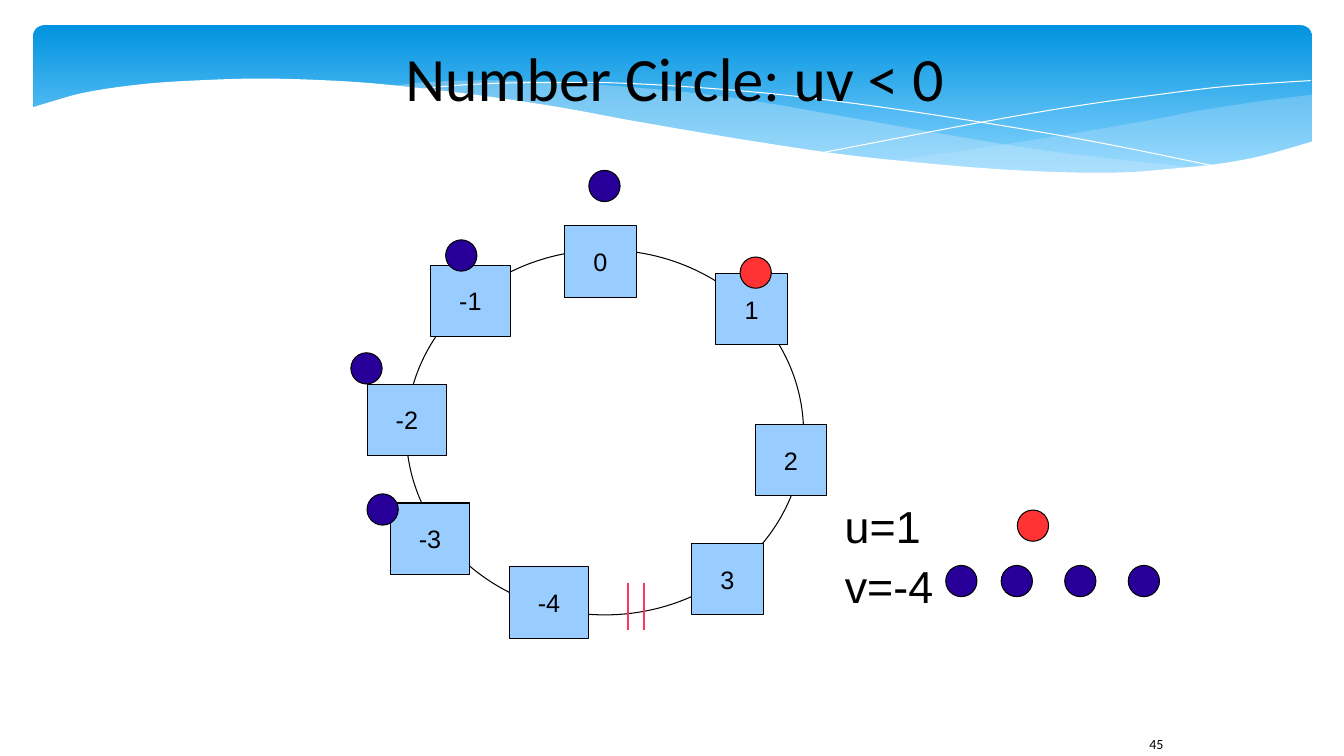
from dataclasses import dataclass
from typing import Optional

from lxml.etree import SubElement
from pptx import Presentation
from pptx.dml.color import RGBColor
from pptx.enum.shapes import MSO_CONNECTOR, MSO_SHAPE
from pptx.enum.text import MSO_ANCHOR, PP_ALIGN
from pptx.oxml.ns import qn
from pptx.util import Emu, Pt

EMU_PER_PX = 9144  # 100 px to the inch
BEAD_SIZE = 31
BOX_HEIGHT = 71
SMOOTH_STEPS = 6
HAIRLINE = 0


@dataclass(frozen=True)
class Theme:
    ink: str = "000000"
    white: str = "FFFFFF"
    header_top: str = "0293E0"
    header_bottom: str = "83D3FE"
    wave: str = "C6E7FC"
    box: str = "99CCFF"
    cut: str = "FF3366"
    u_bead: str = "FF3333"
    v_bead: str = "280099"
    title_font: str = "Calibri"
    body_font: str = "Arial"
    title_size: float = 44
    legend_size: float = 32
    box_size: float = 18
    page_size: float = 10
    cut_width: float = 1.42


THEME = Theme()
Point = tuple[float, float]


@dataclass(frozen=True)
class Wave:
    """A smooth curve, closed through the corners when it has a fill."""
    curves: tuple[tuple[Point, ...], ...]
    corners: tuple[Point, ...] = ()
    fill: Optional[str] = None
    opacity: int = 100


@dataclass(frozen=True)
class NumberBox:
    text: str
    left: int
    top: int
    width: int


@dataclass(frozen=True)
class Bead:
    left: int
    top: int
    color: str


@dataclass(frozen=True)
class Label:
    text: str
    left: int
    top: int
    width: int
    height: int
    size: float
    font: str = THEME.body_font


WAVES = (
    Wave(
        (
            ((1301, 94), (1246, 101), (1188, 110), (1147, 118), (1073, 131), (972, 147), (882, 160)),
            ((882, 160), (940, 165), (993, 169), (1041, 172), (1085, 172), (1126, 171),
             (1163, 169), (1196, 165), (1228, 160), (1266, 152), (1301, 142)),
        ),
        fill=THEME.wave, opacity=29,
    ),
    Wave(
        (
            ((1190, 167), (1116, 159), (1034, 149), (941, 134), (839, 116), (759, 102),
             (686, 92), (619, 86), (560, 82), (506, 80), (459, 80), (418, 82), (382, 86)),
            ((382, 86), (431, 90), (483, 97), (539, 106), (599, 116), (706, 135), (802, 150),
             (887, 161), (963, 168), (1030, 172), (1090, 173), (1143, 171), (1190, 167)),
        ),
        fill=THEME.wave, opacity=40,
    ),
    Wave((((412, 90), (438, 86), (484, 83), (535, 82), (600, 82), (680, 86), (775, 94),
           (886, 108), (1014, 128), (1108, 145), (1210, 166)),)),
    Wave((((818, 151), (870, 141), (927, 130), (997, 117), (1075, 104), (1155, 93),
           (1213, 86), (1267, 82), (1300, 80)),)),
    Wave(
        (((1303, 140), (1254, 154), (1213, 162), (1167, 167), (1116, 171), (1058, 171),
          (992, 168), (918, 162), (834, 153), (740, 139), (634, 121), (558, 107), (486, 96),
          (421, 88), (361, 82), (306, 79), (258, 78), (214, 79), (158, 82), (113, 87),
          (79, 93), (54, 100), (31, 107)),),
        corners=((31, 224), (1303, 224)), fill=THEME.white,
    ),
)

BOXES = (
    NumberBox("0", 560, 224, 71), NumberBox("1", 710, 271, 71),
    NumberBox("2", 749, 421, 71), NumberBox("3", 686, 539, 71),
    NumberBox("-1", 427, 263, 79), NumberBox("-2", 364, 381, 79),
    NumberBox("-3", 387, 499, 79), NumberBox("-4", 505, 562, 79),
)

CIRCLE_BEADS = (
    Bead(734, 255, THEME.u_bead), Bead(584, 169, THEME.v_bead),
    Bead(442, 238, THEME.v_bead), Bead(348, 350, THEME.v_bead),
    Bead(364, 490, THEME.v_bead),
)
LEGEND_BEADS = (Bead(1009, 506, THEME.u_bead),) + tuple(
    Bead(left, 561, THEME.v_bead) for left in (938, 993, 1056, 1119)
)

LABELS = (
    Label("u=1", 828, 490, 96, 62, THEME.legend_size),
    Label("v=-4", 828, 549, 108, 62, THEME.legend_size),
    Label("45", 1130, 725, 61, 40, THEME.page_size, THEME.title_font),
)


def px(value: float) -> Emu:
    return Emu(round(value * EMU_PER_PX))


def smooth(anchors: tuple[Point, ...]) -> list[Point]:
    """Sample a Catmull-Rom curve through the anchors."""
    padded = (anchors[0], *anchors, anchors[-1])
    points = [anchors[0]]
    for before, start, end, after in zip(padded, padded[1:], padded[2:], padded[3:]):
        for step in range(1, SMOOTH_STEPS + 1):
            t = step / SMOOTH_STEPS
            points.append(tuple(
                (2 * b + (c - a) * t + (2 * a - 5 * b + 4 * c - d) * t**2
                 + (3 * b - a - 3 * c + d) * t**3) / 2
                for a, b, c, d in zip(before, start, end, after)
            ))
    return points


def paint(shape, fill: Optional[str], line: Optional[str]) -> None:
    shape.shadow.inherit = False
    if fill:
        shape.fill.solid()
        shape.fill.fore_color.rgb = RGBColor.from_string(fill)
    else:
        shape.fill.background()
    if line:
        shape.line.color.rgb = RGBColor.from_string(line)
        shape.line.width = HAIRLINE
    else:
        shape.line.fill.background()


def write(shape, text: str, size: float, font: str, alignment=PP_ALIGN.LEFT) -> None:
    paragraph = shape.text_frame.paragraphs[0]
    paragraph.text = text
    paragraph.alignment = alignment
    for run in paragraph.runs:
        run.font.size = Pt(size)
        run.font.name = font
        run.font.color.rgb = RGBColor.from_string(THEME.ink)


def add_preset(slide, preset, left: int, top: int, width: int, height: int,
               fill: Optional[str], line: Optional[str] = THEME.ink):
    shape = slide.shapes.add_shape(preset, px(left), px(top), px(width), px(height))
    paint(shape, fill, line)
    return shape


def add_wave(slide, wave: Wave) -> None:
    points = [point for curve in wave.curves for point in smooth(curve)] + list(wave.corners)
    outline = [(px(x), px(y)) for x, y in points]
    builder = slide.shapes.build_freeform(*outline[0], scale=1.0)
    builder.add_line_segments(outline[1:], close=wave.fill is not None)
    shape = builder.convert_to_shape()
    paint(shape, wave.fill, None if wave.fill else THEME.white)
    if wave.opacity < 100:
        color = shape._element.spPr.find(f"{qn('a:solidFill')}/{qn('a:srgbClr')}")
        SubElement(color, qn("a:alpha"), val=str(wave.opacity * 1000))


def add_header(slide) -> None:
    band = add_preset(slide, MSO_SHAPE.ROUNDED_RECTANGLE, 33, 25, 1268, 156, None, None)
    band.adjustments[0] = 0.07
    band.fill.gradient()
    band.fill.gradient_angle = 270
    stops = ((0, THEME.header_top), (0.9, THEME.header_bottom))
    for stop, (position, color) in zip(band.fill.gradient_stops, stops):
        stop.position = position
        stop.color.rgb = RGBColor.from_string(color)
    for wave in WAVES:
        add_wave(slide, wave)


def add_title(slide) -> None:
    title = slide.shapes.add_textbox(px(264), px(25), px(811), px(102))
    frame = title.text_frame
    frame.word_wrap = True
    frame.vertical_anchor = MSO_ANCHOR.MIDDLE
    frame.margin_left = frame.margin_right = frame.margin_top = frame.margin_bottom = 0
    write(title, "Number Circle: uv < 0", THEME.title_size, THEME.title_font, PP_ALIGN.CENTER)


def add_number_box(slide, box: NumberBox) -> None:
    shape = add_preset(slide, MSO_SHAPE.RECTANGLE, box.left, box.top, box.width, BOX_HEIGHT, THEME.box)
    shape.text_frame.word_wrap = False
    shape.text_frame.vertical_anchor = MSO_ANCHOR.MIDDLE
    write(shape, box.text, THEME.box_size, THEME.body_font, PP_ALIGN.CENTER)


def add_cut_mark(slide, x: int) -> None:
    mark = slide.shapes.add_connector(MSO_CONNECTOR.STRAIGHT, px(x), px(578), px(x), px(625))
    mark.line.color.rgb = RGBColor.from_string(THEME.cut)
    mark.line.width = Pt(THEME.cut_width)
    SubElement(mark._element.spPr, qn("a:effectLst"))


def add_label(slide, label: Label) -> None:
    shape = slide.shapes.add_textbox(px(label.left), px(label.top), px(label.width), px(label.height))
    shape.text_frame.word_wrap = False
    write(shape, label.text, label.size, label.font)


def main() -> None:
    presentation = Presentation()
    presentation.slide_width, presentation.slide_height = px(1333), px(750)
    slide = presentation.slides.add_slide(presentation.slide_layouts[6])
    add_header(slide)
    add_title(slide)
    add_preset(slide, MSO_SHAPE.OVAL, 403, 248, 394, 362, None)
    for box in BOXES:
        add_number_box(slide, box)
    for x in (623, 639):
        add_cut_mark(slide, x)
    for bead in CIRCLE_BEADS + LEGEND_BEADS:
        add_preset(slide, MSO_SHAPE.OVAL, bead.left, bead.top, BEAD_SIZE, BEAD_SIZE, bead.color)
    for label in LABELS:
        add_label(slide, label)
    presentation.save("out.pptx")


if __name__ == "__main__":
    main()
